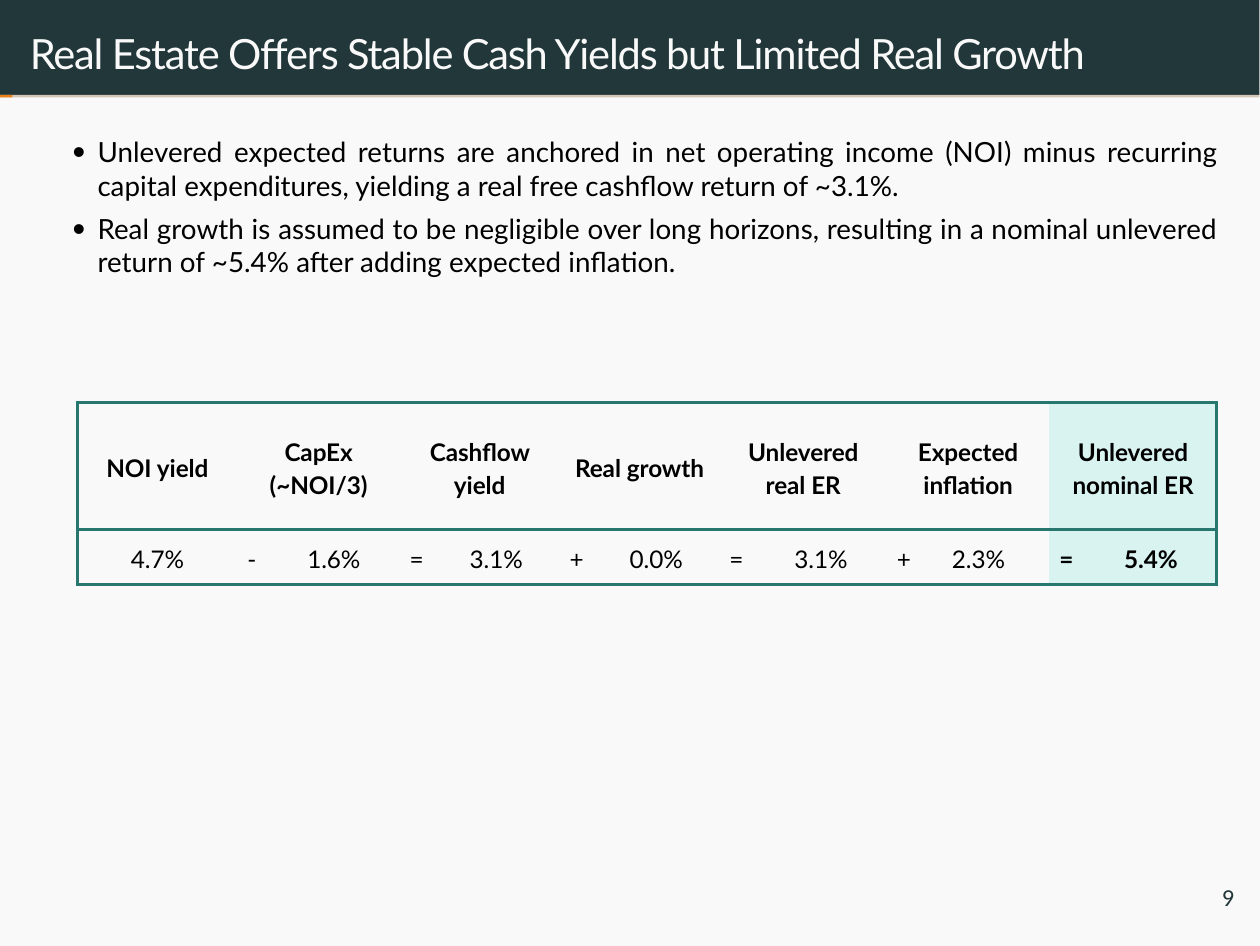
import pptx
import pptx.dml.color
import pptx.enum.shapes
import pptx.enum.text
import pptx.oxml.ns
import pptx.util
from lxml import etree

Inches, Pt = pptx.util.Inches, pptx.util.Pt
RGBColor = pptx.dml.color.RGBColor
ALIGN, ANCHOR = pptx.enum.text.PP_ALIGN, pptx.enum.text.MSO_ANCHOR
qn = pptx.oxml.ns.qn

PAPER = RGBColor(0xF9, 0xF9, 0xF9)
DARK = RGBColor(0x22, 0x37, 0x3A)
SAND = RGBColor(0xD5, 0xC5, 0xB6)
ORANGE = RGBColor(0xEB, 0x81, 0x1B)
BLACK = RGBColor(0, 0, 0)
TEAL = RGBColor(0x27, 0x77, 0x6F)
MINT = RGBColor(0xD9, 0xF3, 0xF1)
NO_GRID = "{2D5ABB26-0587-4C30-8999-92F81FD0307C}"

TITLE = "Real Estate Offers Stable Cash Yields but Limited Real Growth"
POINTS = [
    "Unlevered expected returns are anchored in net operating income (NOI) minus "
    "recurring capital expenditures, yielding a real free cashflow return of ~3.1%.",
    "Real growth is assumed to be negligible over long horizons, resulting in a "
    "nominal unlevered return of ~5.4% after adding expected inflation.",
]
# Heading, sign, value, column width, tab stop of the value
YIELDS = [
    ("NOI yield", "", "4.7%", 0.64, 0),
    ("CapEx (~NOI/3)", "-", "1.6%", 0.65, 0.24),
    ("Cashflow yield", "=", "3.1%", 0.64, 0.24),
    ("Real growth", "+", "0.0%", 0.64, 0.24),
    ("Unlevered real ER", "=", "3.1%", 0.67, 0.26),
    ("Expected inflation", "+", "2.3%", 0.65, 0.22),
    ("Unlevered nominal ER", "=", "5.4%", 0.67, 0.26),
]


def place(shape, left, top, width, height):
    shape.left, shape.top = Inches(left), Inches(top)
    shape.width, shape.height = Inches(width), Inches(height)


def set_frame(frame, top):
    frame.word_wrap = True
    frame.auto_size = pptx.enum.text.MSO_AUTO_SIZE.NONE
    frame.vertical_anchor = ANCHOR.TOP
    frame.margin_left = frame.margin_right = frame.margin_bottom = 0
    frame.margin_top = Inches(top)


def style(para, size, color, face="Lato", bold=False, track=0):
    for run in para.runs:
        font = run.font
        font.name, font.size, font.bold = face, Pt(size), bold
        font.color.rgb = color
        if track:
            run._r.get_or_add_rPr().set("spc", str(track))


def indent(para, left, first=0):
    props = para._p.get_or_add_pPr()
    props.set("marL", str(Inches(left)))
    props.set("indent", str(Inches(first)))
    return props


def add_bar(slide, top, width, height, color):
    kind = pptx.enum.shapes.MSO_SHAPE.RECTANGLE
    bar = slide.shapes.add_shape(kind, 0, Inches(top), Inches(width), Inches(height))
    bar.shadow.inherit = False
    bar.fill.solid()
    bar.fill.fore_color.rgb = color
    bar.line.fill.background()


def set_title(slide):
    title = slide.shapes.title
    place(title, 0.11, 0.09, 4.9, 0.22)
    set_frame(title.text_frame, 0.02)
    title.text_frame.text = TITLE
    para = title.text_frame.paragraphs[0]
    para.alignment, para.space_before = ALIGN.LEFT, Pt(0.9)
    indent(para, 0.01)
    style(para, 12, PAPER, track=-34)
    slide.shapes._spTree.append(title._element)  # bring in front of the header


def set_points(slide):
    body = slide.placeholders[1]
    place(body, 0.19, 0.52, 4.69, 0.59)
    set_frame(body.text_frame, 0.02)
    body.text_frame.text = "\n".join(POINTS)
    for para in body.text_frame.paragraphs:
        para.alignment, para.space_before = ALIGN.JUSTIFY, Pt(3)
        props = indent(para, 0.2, -0.1)
        etree.SubElement(props, qn("a:buSzPct")).set("val", "130000")
        etree.SubElement(props, qn("a:buChar")).set("char", "•")
        style(para, 8, BLACK)


def add_page(slide, number):
    box = slide.shapes.add_textbox(Inches(4.88), Inches(3.51), Inches(0.14), Inches(0.14))
    set_frame(box.text_frame, 0.02)
    box.text_frame.text = number
    para = box.text_frame.paragraphs[0]
    para.space_before = Pt(1.4)
    indent(para, 0.01)
    style(para, 7, DARK, face="Calibri", track=-50)


def set_edges(cell, sides):
    props = cell._tc.get_or_add_tcPr()
    for i, side in enumerate(sides):
        edge = etree.Element(qn("a:ln" + side), w=str(Pt(1)))
        fill = etree.SubElement(edge, qn("a:solidFill"))
        etree.SubElement(fill, qn("a:srgbClr")).set("val", str(TEAL))
        props.insert(i, edge)


def set_cell(cell, text, bold, tab=0):
    cell.margin_left = cell.margin_right = Inches(0.04)
    cell.margin_top = cell.margin_bottom = 0
    cell.vertical_anchor = ANCHOR.MIDDLE
    cell.text_frame.text = text
    para = cell.text_frame.paragraphs[0]
    para.line_spacing = 1.15
    para.alignment = ALIGN.LEFT if tab else ALIGN.CENTER
    if tab:
        stops = etree.SubElement(para._p.get_or_add_pPr(), qn("a:tabLst"))
        etree.SubElement(stops, qn("a:tab"), pos=str(Inches(tab)), algn="l")
    style(para, 7, BLACK, bold=bold)


def add_yields(slide):
    frame = slide.shapes.add_table(2, len(YIELDS), Inches(0.31), Inches(1.61),
                                   Inches(4.56), Inches(0.73))
    table = frame.table
    table.first_row = table.horz_banding = False
    table._tbl.tblPr.find(qn("a:tableStyleId")).text = NO_GRID
    table.rows[0].height, table.rows[1].height = Inches(0.51), Inches(0.22)
    last = len(YIELDS) - 1
    for col, (head, sign, value, width, tab) in enumerate(YIELDS):
        table.columns[col].width = Inches(width)
        set_cell(table.cell(0, col), head, True)
        set_cell(table.cell(1, col), f"{sign}\t{value}" if sign else value,
                 col == last, tab)
        sides = ["L"] * (col == 0) + ["R"] * (col == last) + ["T", "B"]
        for row in range(2):
            cell = table.cell(row, col)
            if col == last:
                cell.fill.solid()
                cell.fill.fore_color.rgb = MINT
            else:
                cell.fill.background()
            set_edges(cell, sides)


def main():
    deck = pptx.Presentation()
    # 5.04 by 3.78 inches, in whole and half points
    deck.slide_width, deck.slide_height = Pt(363), Pt(272.5)
    slide = deck.slides.add_slide(deck.slide_layouts[1])
    slide.background.fill.solid()
    slide.background.fill.fore_color.rgb = PAPER

    # Header with its progress line
    add_bar(slide, 0, 5.04, 0.38, DARK)
    add_bar(slide, 0.38, 5.04, 0.01, SAND)
    add_bar(slide, 0.38, 0.05, 0.01, ORANGE)
    set_title(slide)

    # Content
    set_points(slide)
    add_yields(slide)
    add_page(slide, "9")
    deck.save("out.pptx")


if __name__ == "__main__":
    main()
